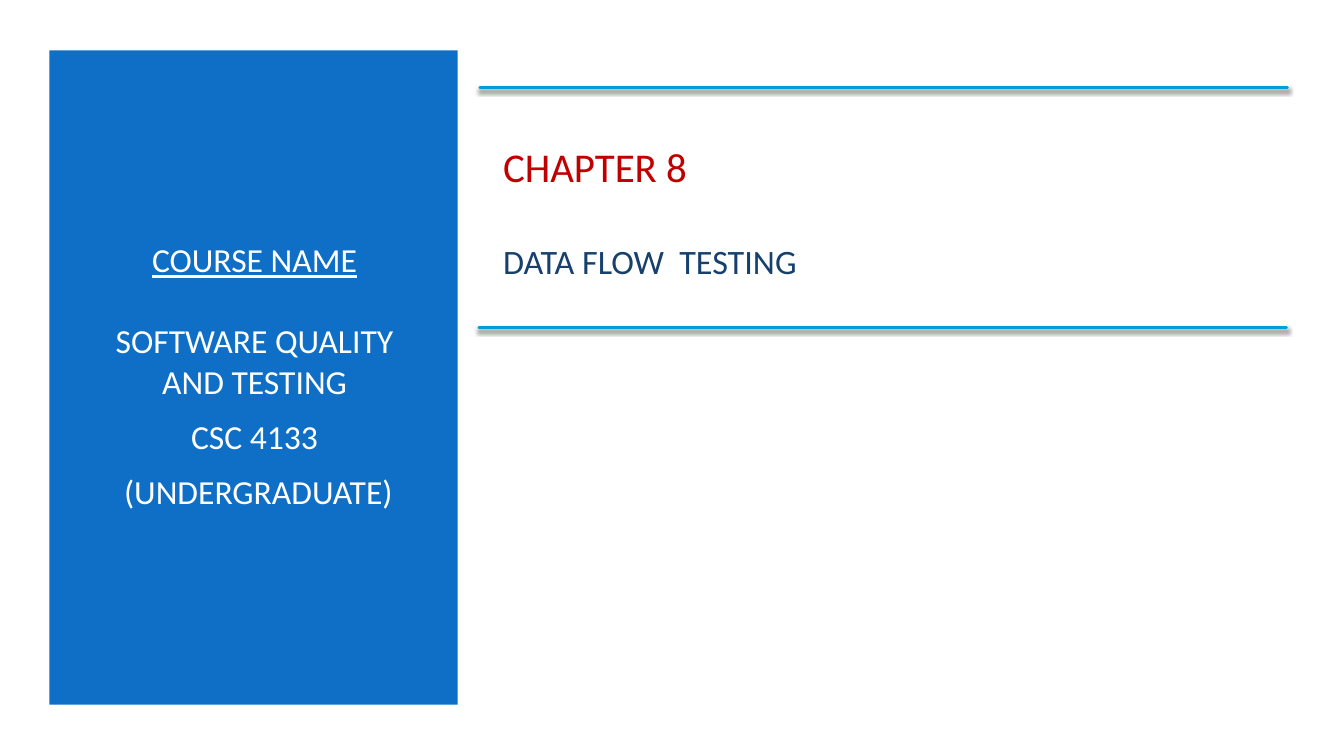
from dataclasses import dataclass

from lxml.etree import SubElement
from pptx import Presentation
from pptx.dml.color import RGBColor
from pptx.enum.shapes import MSO_CONNECTOR as Connector, MSO_SHAPE as Preset
from pptx.enum.text import MSO_ANCHOR as Anchor, MSO_AUTO_SIZE as AutoSize, PP_ALIGN as Align
from pptx.oxml.ns import qn
from pptx.slide import Slide
from pptx.text.text import TextFrame
from pptx.util import Inches, Pt

COLORS = {
    "panel": "0F6FC6",
    "white": "FFFFFF",
    "chapter": "C00000",
    "topic": "17406D",
    "rule": "009DD9",
    "shadow": "000000",
}
FONT = "Calibri"


@dataclass
class TextLine:
    text: str
    size: float
    color: str
    before: float = 0
    after: float = 0
    underline: bool = False


@dataclass
class Rule:
    left: float
    top: float
    width: float = 8.01


TITLE_LINES = [
    TextLine("CHAPTER 8", 29.2, "chapter"),
    TextLine("DATA FLOW  TESTING", 24.4, "topic", before=35.6),
]
COURSE_LINES = [
    TextLine("COURSE NAME", 24, "white", 4.8, 6, underline=True),
    TextLine("SOFTWARE QUALITY AND TESTING", 24, "white", 23, 6),
    TextLine("CSC 4133", 24, "white", 4.8, 6),
    TextLine(" (UNDERGRADUATE)", 24, "white", 4.8, 6),
]
RULES = [Rule(4.76, 0.87), Rule(4.75, 3.25)]


def rgb(name: str) -> RGBColor:
    return RGBColor.from_string(COLORS[name])


def write_lines(frame: TextFrame, lines: list[TextLine], alignment: Align) -> None:
    frame.word_wrap = True
    frame.auto_size = AutoSize.NONE
    frame.vertical_anchor = Anchor.MIDDLE
    for index, line in enumerate(lines):
        paragraph = frame.add_paragraph() if index else frame.paragraphs[0]
        paragraph.text = line.text
        paragraph.alignment = alignment
        paragraph.line_spacing = 1.0
        paragraph.space_before = Pt(line.before)
        paragraph.space_after = Pt(line.after)
        font = paragraph.font
        font.name = FONT
        font.size = Pt(line.size)
        font.underline = line.underline
        font.color.rgb = rgb(line.color)


def add_panel(slide: Slide) -> None:
    panel = slide.shapes.add_shape(
        Preset.RECTANGLE, Inches(0.49), Inches(0.5), Inches(4.05), Inches(6.49))
    panel.shadow.inherit = False
    panel.fill.solid()
    panel.fill.fore_color.rgb = rgb("panel")
    panel.line.fill.background()


def add_rule(slide: Slide, rule: Rule) -> None:
    """Draw a round-ended horizontal line with a soft shadow below it."""
    top = Inches(rule.top)
    connector = slide.shapes.add_connector(
        Connector.STRAIGHT, Inches(rule.left), top, Inches(rule.left + rule.width), top)
    connector.line.color.rgb = rgb("rule")
    connector.line.width = Pt(2)
    properties = connector._element.spPr
    properties.find(qn("a:ln")).set("cap", "rnd")
    effects = SubElement(properties, qn("a:effectLst"))
    shadow = SubElement(effects, qn("a:outerShdw"), blurRad=str(Pt(3)), dist=str(Pt(2)),
                        dir="5400000", rotWithShape="0")
    color = SubElement(shadow, qn("a:srgbClr"), val=COLORS["shadow"])
    SubElement(color, qn("a:alpha"), val="55000")


def main() -> None:
    presentation = Presentation()
    presentation.slide_width = Inches(13.33)
    presentation.slide_height = Inches(7.5)
    slide = presentation.slides.add_slide(presentation.slide_layouts.get_by_name("Title Only"))

    add_panel(slide)
    course = slide.shapes.add_textbox(Inches(0.84), Inches(1.1), Inches(3.37), Inches(5.25))
    write_lines(course.text_frame, COURSE_LINES, Align.CENTER)

    title = slide.shapes.title
    title.left, title.top = Inches(4.89), Inches(1.1)
    title.width, title.height = Inches(7.85), Inches(2)
    write_lines(title.text_frame, TITLE_LINES, Align.LEFT)

    for rule in RULES:
        add_rule(slide, rule)
    presentation.save("out.pptx")


if __name__ == "__main__":
    main()
